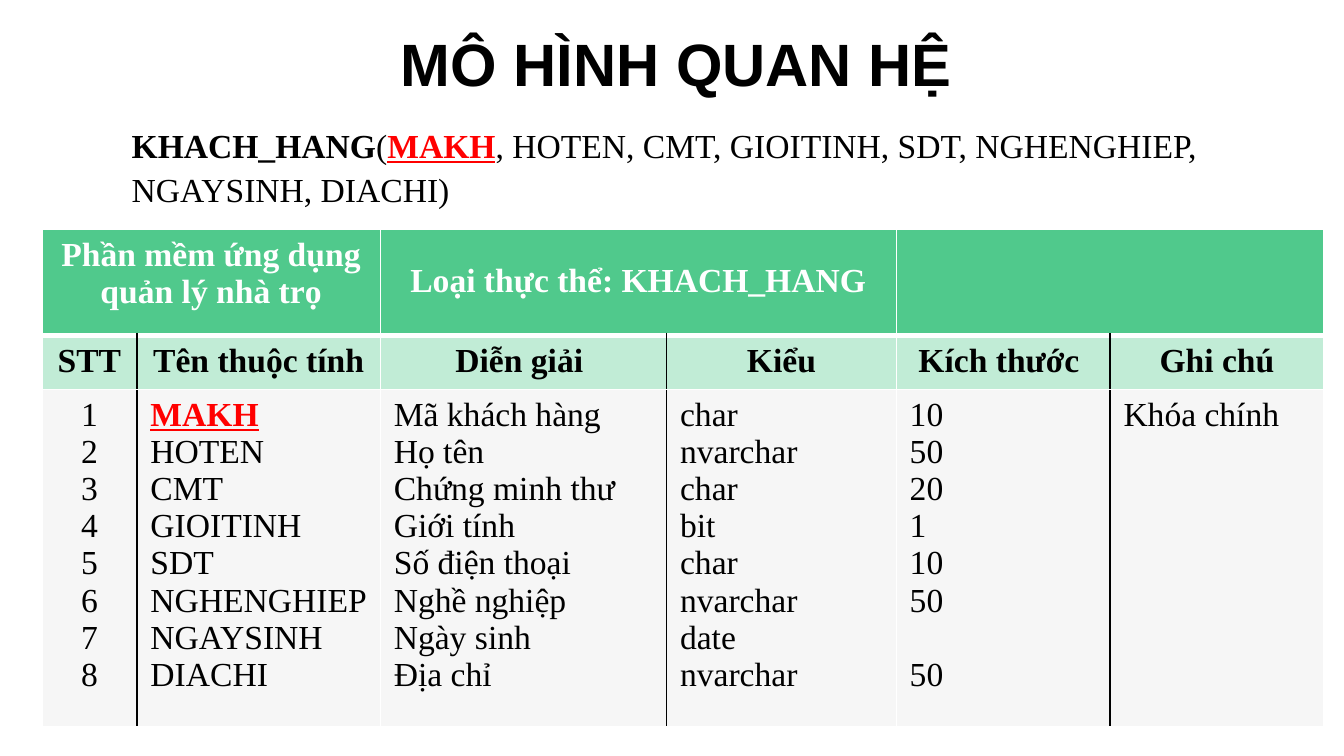
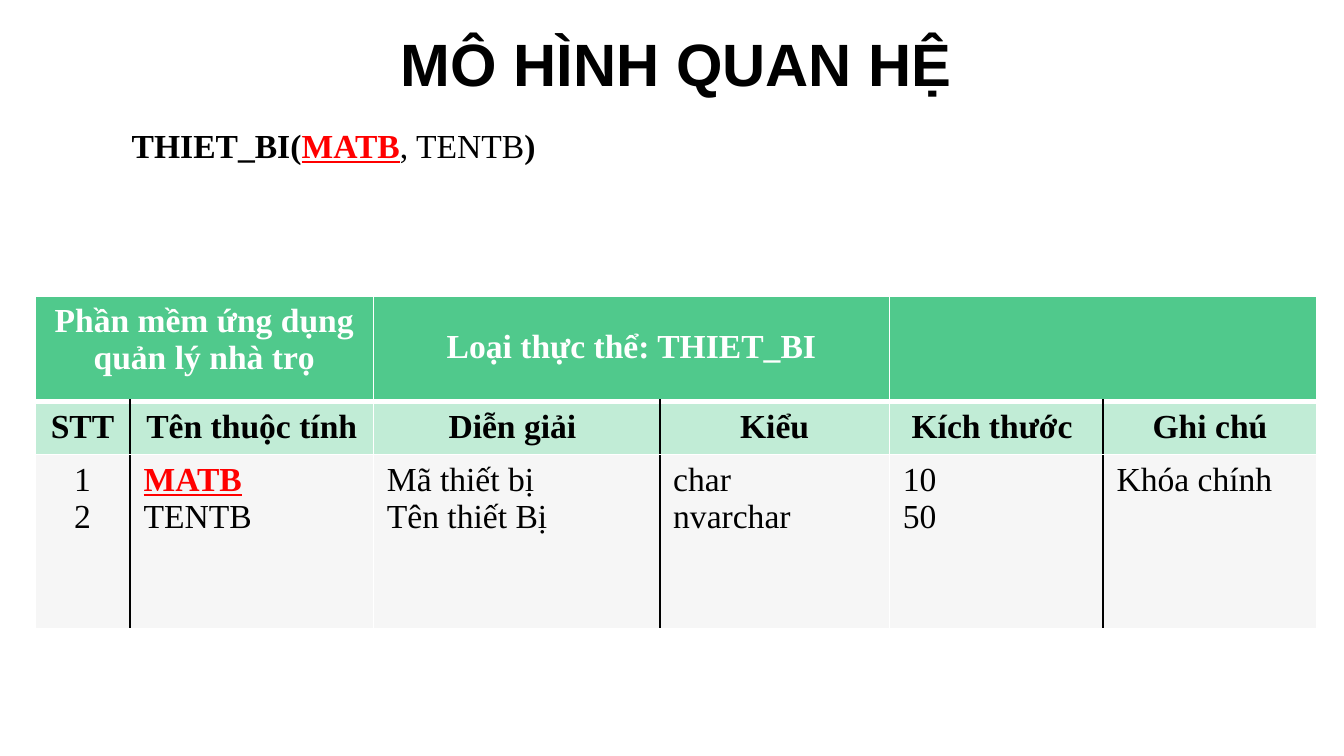
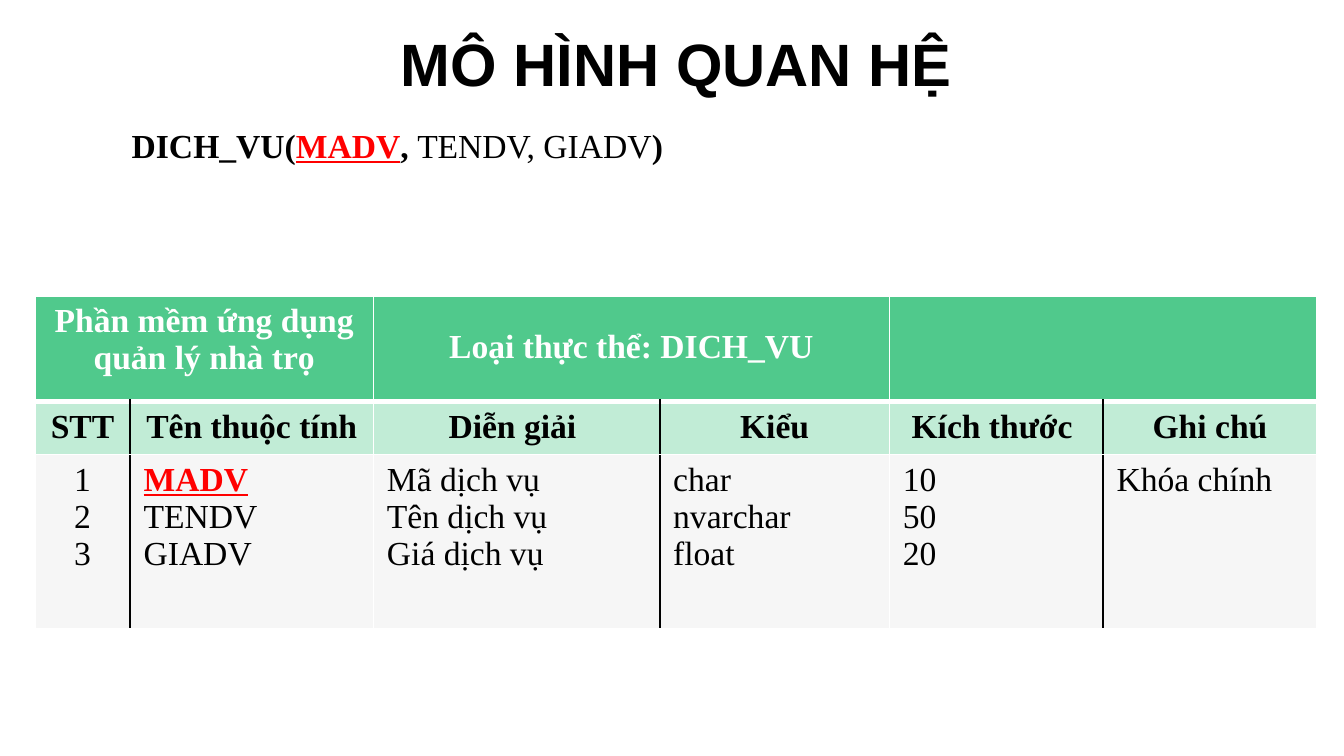
from lxml import etree
from pptx import Presentation
from pptx.dml.color import RGBColor
from pptx.enum.text import MSO_ANCHOR as Anchor, MSO_AUTO_SIZE as AutoSize, PP_ALIGN as Align
from pptx.oxml.ns import qn
from pptx.util import Cm, Pt

BLACK = RGBColor(0x00, 0x00, 0x00)
WHITE = RGBColor(0xFF, 0xFF, 0xFF)
RED = RGBColor(0xFF, 0x00, 0x00)
GREEN = RGBColor(0x50, 0xC9, 0x8C)
LIGHT_GREEN = RGBColor(0xC1, 0xEC, 0xD6)
LIGHT_GRAY = RGBColor(0xF6, 0xF6, 0xF6)

TITLE = {"name": "Arial", "size": Pt(32), "bold": True, "color": BLACK}
PLAIN = {"name": "Times New Roman", "size": Pt(18), "bold": False, "color": BLACK}
BOLD = {**PLAIN, "bold": True}
BANNER = {**BOLD, "color": WHITE}
KEY = {**BOLD, "color": RED, "underline": True}

LINE_HEIGHT = Pt(19.9)
COLUMN_WIDTHS = [1.8, 4.6, 5.41, 4.34, 4.04, 4.04]
COLUMN_NAMES = ["STT", "Tên thuộc tính", "Diễn giải ", "Kiểu", "Kích thước ", "Ghi chú"]

# Each attribute row: name, meaning, type, size; the first one is the key.
ENTITIES = [
    {
        "name": "KHACH_HANG",
        "schema": [
            [("KHACH_HANG", BOLD), ("(", PLAIN), ("MAKH", KEY),
             (", HOTEN, CMT, GIOITINH, SDT, NGHENGHIEP,", PLAIN)],
            [("NGAYSINH, DIACHI)", PLAIN)],
        ],
        "schema_height": 1.8,
        "table_at": (0.79, 4.34),
        "row_heights": [2.0, 1.02, 6.38],
        "attributes": [
            ("MAKH", "Mã khách hàng", "char", "10"),
            ("HOTEN", "Họ tên", "nvarchar", "50"),
            ("CMT", "Chứng minh thư", "char", "20"),
            ("GIOITINH", "Giới tính", "bit", "1"),
            ("SDT", "Số điện thoại", "char", "10"),
            ("NGHENGHIEP", "Nghề nghiệp", "nvarchar", "50"),
            ("NGAYSINH", "Ngày sinh", "date", ""),
            ("DIACHI", "Địa chỉ", "nvarchar", "50"),
        ],
    },
    {
        "name": "THIET_BI",
        "schema": [[("THIET_BI(", BOLD), ("MATB", KEY), (", TENTB", PLAIN), (")", BOLD)]],
        "schema_height": 2.57,
        "table_at": (0.66, 5.59),
        "row_heights": [2.0, 1.0, 3.3],
        "attributes": [
            ("MATB", "Mã thiết bị", "char", "10"),
            ("TENTB", "Tên thiết Bị", "nvarchar", "50"),
        ],
    },
    {
        "name": "DICH_VU",
        "schema": [[("DICH_VU(", BOLD), ("MADV", KEY), (", ", BOLD),
                    ("TENDV, GIADV", PLAIN), (")", BOLD)]],
        "schema_height": 2.57,
        "table_at": (0.66, 5.59),
        "row_heights": [2.0, 1.0, 3.3],
        "attributes": [
            ("MADV", "Mã dịch vụ", "char", "10"),
            ("TENDV", "Tên dịch vụ", "nvarchar", "50"),
            ("GIADV", "Giá dịch vụ", "float", "20"),
        ],
    },
]


def add_run(paragraph, text, style):
    run = paragraph.add_run()
    run.text = text
    for attribute, value in style.items():
        if attribute == "color":
            run.font.color.rgb = value
        else:
            setattr(run.font, attribute, value)


def write_lines(text_frame, lines, align=Align.LEFT, line_spacing=None):
    """Write one paragraph per list of (text, style) runs; an empty list leaves a line's gap."""
    paragraph, gap = text_frame.paragraphs[0], 0
    for index, runs in enumerate(lines):
        if not runs:
            gap += LINE_HEIGHT
            continue
        if index:
            paragraph = text_frame.add_paragraph()
        paragraph.alignment = align
        if line_spacing:
            paragraph.line_spacing = line_spacing
        if gap:
            paragraph.space_before, gap = gap, 0
        for text, style in runs:
            add_run(paragraph, text, style)


def set_frame(text_frame):
    text_frame.word_wrap = True
    text_frame.auto_size = AutoSize.NONE
    text_frame.vertical_anchor = Anchor.TOP


def add_title(slide, text):
    title = slide.shapes.title
    title.left, title.top, title.width, title.height = Cm(7.32), Cm(0.38), Cm(11.28), Cm(1.6)
    set_frame(title.text_frame)
    write_lines(title.text_frame, [[(text, TITLE)]])


def add_schema(slide, entity):
    box = slide.shapes.add_textbox(Cm(2.24), Cm(2.16), Cm(20.7), Cm(entity["schema_height"]))
    set_frame(box.text_frame)
    write_lines(box.text_frame, entity["schema"], line_spacing=1.1)


def format_cell(cell, fill, borders):
    """Fill a cell and draw its borders, given as side: (colour, points)."""
    properties = cell._tc.get_or_add_tcPr()
    for side, (color, width) in borders.items():
        line = etree.SubElement(properties, qn(f"a:ln{side}"), w=str(Pt(width)))
        solid = etree.SubElement(line, qn("a:solidFill"))
        etree.SubElement(solid, qn("a:srgbClr"), val=str(color))
    cell.fill.solid()
    cell.fill.fore_color.rgb = fill


def cell_borders(row, column):
    """White grid, with a black line inside each pair of columns below the banner."""
    borders = {side: (WHITE, 1) for side in "LRTB"}
    if row == 0:
        borders["B"] = (WHITE, 3)
    else:
        borders["L" if column % 2 else "R"] = (BLACK, 1)
    if column == len(COLUMN_WIDTHS) - 1:
        borders["R"] = (WHITE, 1)
    return borders


def add_entity_table(slide, entity):
    left, top = entity["table_at"]
    heights = entity["row_heights"]
    table = slide.shapes.add_table(
        len(heights), len(COLUMN_WIDTHS),
        Cm(left), Cm(top), Cm(sum(COLUMN_WIDTHS)), Cm(sum(heights)),
    ).table
    table.first_row = table.horz_banding = False
    for column, width in zip(table.columns, COLUMN_WIDTHS):
        column.width = Cm(width)
    for row, height in zip(table.rows, heights):
        row.height = Cm(height)
    for row, fill in enumerate([GREEN, LIGHT_GREEN, LIGHT_GRAY]):
        for column in range(len(COLUMN_WIDTHS)):
            format_cell(table.cell(row, column), fill, cell_borders(row, column))
    for column in range(0, len(COLUMN_WIDTHS), 2):
        table.cell(0, column).merge(table.cell(0, column + 1))

    def write(row, column, lines, align=Align.CENTER, line_spacing=None):
        write_lines(table.cell(row, column).text_frame, lines, align, line_spacing)

    write(0, 0, [[("Phần mềm ứng dụng quản lý nhà trọ", BANNER)]])
    write(0, 2, [[(f"Loại thực thể: {entity['name']}", BANNER)]], line_spacing=1.7)
    for column, name in enumerate(COLUMN_NAMES):
        write(1, column, [[(name, BOLD)]])

    attributes = entity["attributes"]
    numbers = [str(number) for number in range(1, len(attributes) + 1)]
    for column, values in enumerate([numbers, *zip(*attributes), ["Khóa chính"]]):
        lines = [[(value, PLAIN)] if value else [] for value in values]
        if column == 1:
            lines[0] = [(values[0], KEY)]
        write(2, column, lines, Align.LEFT if column else Align.CENTER)


def main():
    presentation = Presentation()
    presentation.slide_width, presentation.slide_height = Cm(25.4), Cm(14.29)
    title_only = presentation.slide_layouts[5]
    for entity in ENTITIES:
        slide = presentation.slides.add_slide(title_only)
        add_title(slide, "MÔ HÌNH QUAN HỆ")
        add_schema(slide, entity)
        add_entity_table(slide, entity)
    presentation.save("out.pptx")


if __name__ == "__main__":
    main()
